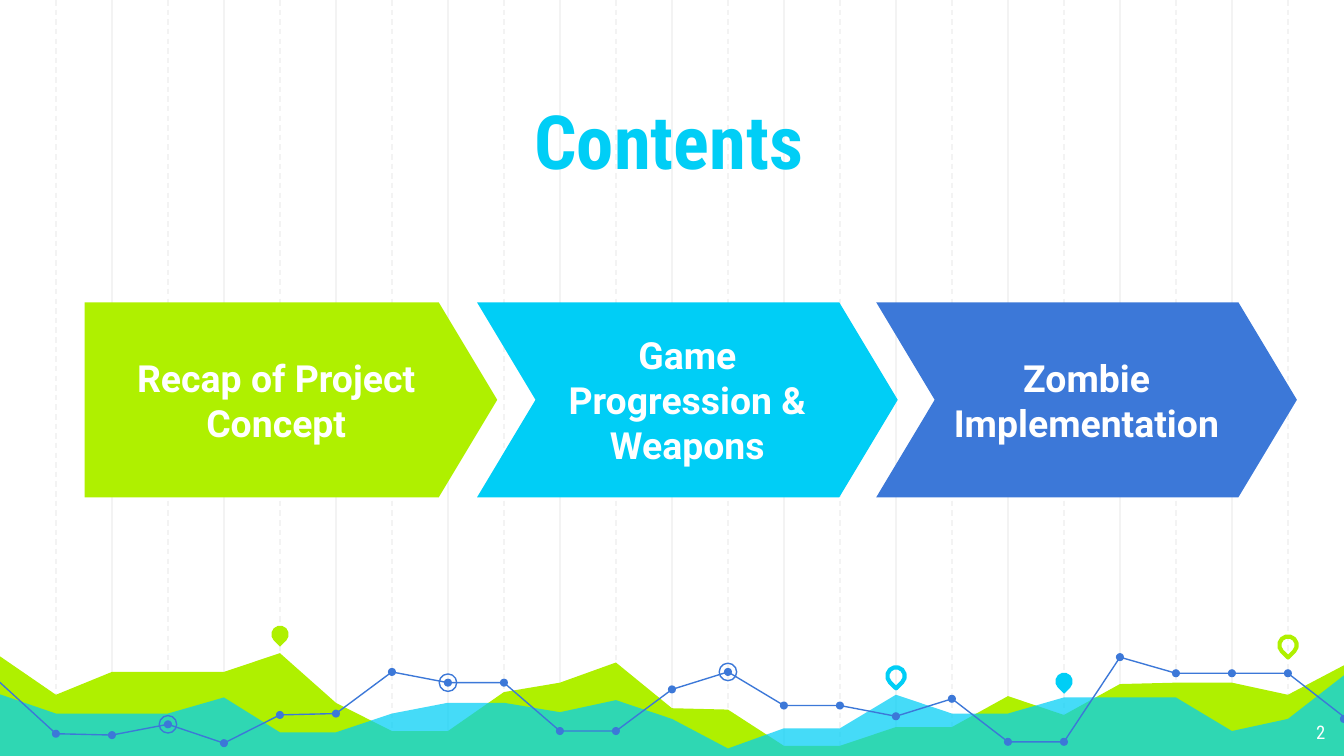
from pptx import Presentation
from pptx import util as u
from pptx.dml.color import RGBColor
from pptx.enum import dml, shapes, text
from pptx.oxml.ns import qn
from lxml import etree

WIDTH = 10
HEIGHT = WIDTH * 9 / 16
COLUMN = WIDTH / 24
FLOOR = 5.65  # a little below the slide's edge
BLEED = 0.02
LIME, CYAN, BLUE, WHITE, GRID = "AFF000", "00CEF6", "3C78D8", "FFFFFF", "F3F3F3"
HEADING, BODY = "Roboto Condensed", "Roboto"
SHAPE = shapes.MSO_SHAPE

TITLE = "Contents"
PAGE = "2"
STEPS = [  # label, colour, outline, left, width
    ("Recap of Project Concept", LIME, SHAPE.PENTAGON, 0.63, 3.07),
    ("Game Progression & Weapons", CYAN, SHAPE.CHEVRON, 3.55, 3.13),
    ("Zombie Implementation", BLUE, SHAPE.CHEVRON, 6.52, 3.13),
]

# One height per grid column, from the left edge to the right edge
AREAS = [  # colour, opacity in percent, heights
    (LIME, 100, [4.87, 5.17, 5, 5, 5, 4.86, 5.23, 5.44, 5.44, 5.15, 5.08, 4.93, 5.27,
                 5.28, 5.55, 5.55, 5.41, 5.41, 5.18, 5.32, 5.09, 5.08, 5.08, 5.17, 4.94]),
    (CYAN, 73, [5.16, 5.31, 5.31, 5.31, 5.19, 5.45, 5.45, 5.31, 5.23, 5.23, 5.3, 5.21, 5.35,
                5.57, 5.42, 5.42, 5.17, 5.31, 5.31, 5.19, 5.19, 5.19, 5.44, 5.35, 5.01]),
]
TREND = [5.06, 5.46, 5.47, 5.39, 5.53, 5.32, 5.31, 5, 5.08, 5.08, 5.44, 5.44, 5.13,
         5, 5.25, 5.25, 5.33, 5.2, 5.52, 5.52, 4.89, 5.01, 5.01, 5.01, 5.35]
TREND_PARTS = [(0, 11), (11, 20), (20, 24)]  # first and last column
RINGED = [8, 3, 13]
PINS = [  # column, centre height, colour, filled
    (5, 4.72, LIME, True), (16, 5.03, CYAN, False),
    (19, 5.07, CYAN, True), (23, 4.8, LIME, False),
]

prs = Presentation()
prs.slide_width, prs.slide_height = u.Inches(WIDTH), u.Inches(HEIGHT)
slide = prs.slides.add_slide(prs.slide_layouts[6])


def rgb(colour):
    return RGBColor.from_string(colour)


def paint(shape, fill=None, line=None, weight=0.75):
    shape.shadow.inherit = False
    if fill:
        shape.fill.solid()
        shape.fill.fore_color.rgb = rgb(fill)
    else:
        shape.fill.background()
    if line:
        shape.line.color.rgb = rgb(line)
        shape.line.width = u.Pt(weight)
    else:
        shape.line.fill.background()


def write(shape, words, size, font, colour, align, anchor, bold=True):
    frame = shape.text_frame
    frame.word_wrap = True
    frame.vertical_anchor = anchor
    frame.margin_left = frame.margin_right = u.Inches(0.1)
    frame.margin_top = frame.margin_bottom = u.Inches(0.1)
    paragraph = frame.paragraphs[0]
    paragraph.alignment = align
    run = paragraph.add_run()
    run.text = words
    run.font.size, run.font.name, run.font.bold = u.Pt(size), font, bold
    run.font.color.rgb = rgb(colour)


def text_box(left, top, width, height):
    return slide.shapes.add_textbox(*map(u.Inches, (left, top, width, height)))


def centred(kind, column, middle, size):
    """Add a square-framed shape centred on a grid column."""
    return slide.shapes.add_shape(
        kind, u.Inches(column * COLUMN - size / 2), u.Inches(middle - size / 2),
        u.Inches(size), u.Inches(size))


def column_points(heights, first=0):
    """Place heights on successive columns, bleeding past the slide's sides."""
    points = []
    for column, y in enumerate(heights, first):
        bleed = {0: -BLEED, 24: BLEED}.get(column, 0)
        points.append((column * COLUMN + bleed, y))
    return points


def outline(points, close):
    emu = [(u.Inches(x), u.Inches(y)) for x, y in points]
    builder = slide.shapes.build_freeform(*emu[0])
    builder.add_line_segments(emu[1:], close=close)
    return builder.convert_to_shape()


# Grid: solid lines on even columns, dashed ones on odd columns
for column in [*range(2, 24, 2), *range(1, 24, 2)]:
    x = u.Inches(column * COLUMN)
    rule = slide.shapes.add_connector(
        shapes.MSO_CONNECTOR.STRAIGHT, x, 0, x, u.Inches(FLOOR))
    rule.line.color.rgb = rgb(GRID)
    rule.line.width = u.Pt(0.75)
    if column % 2:
        rule.line.dash_style = dml.MSO_LINE.DASH
    etree.SubElement(rule._element.spPr, qn("a:effectLst"))

# Landscape
for colour, opacity, heights in AREAS:
    base = [(WIDTH + BLEED, FLOOR), (-BLEED, FLOOR)]
    area = outline(column_points(heights) + base, close=True)
    paint(area, fill=colour)
    if opacity < 100:
        tint = area._element.spPr.find(qn("a:solidFill"))[0]
        etree.SubElement(tint, qn("a:alpha"), val=str(opacity * 1000))

for column, middle, colour, filled in PINS:
    pin = centred(SHAPE.TEAR, column, middle, 0.13)
    pin.rotation = 135
    if filled:
        paint(pin, fill=colour)
    else:
        paint(pin, line=colour, weight=2.25)

# Trend line with its dots and rings
for first, last in TREND_PARTS:
    paint(outline(column_points(TREND[first:last + 1], first), close=False), line=BLUE)
for column, y in enumerate(TREND[1:], 1):
    paint(centred(SHAPE.OVAL, column, y, 0.06), fill=BLUE)
for column in RINGED:
    paint(centred(SHAPE.OVAL, column, TREND[column], 0.13), line=BLUE)

# Content
ALIGN, ANCHOR = text.PP_ALIGN, text.MSO_ANCHOR
write(text_box(1.15, 0.69, 7.65, 0.78), TITLE, 40, HEADING, CYAN,
      ALIGN.CENTER, ANCHOR.BOTTOM)

for label, colour, kind, left, width in STEPS:
    step = slide.shapes.add_shape(kind, *map(u.Inches, (left, 2.25, width, 1.45)))
    step.adjustments[0] = 0.3
    paint(step, fill=colour)
    write(step, label, 20, BODY, WHITE, ALIGN.CENTER, ANCHOR.MIDDLE)

write(text_box(9.36, 5.28, 0.6, 0.35), PAGE, 10, HEADING, WHITE,
      ALIGN.RIGHT, ANCHOR.TOP, bold=False)

prs.save("out.pptx")
